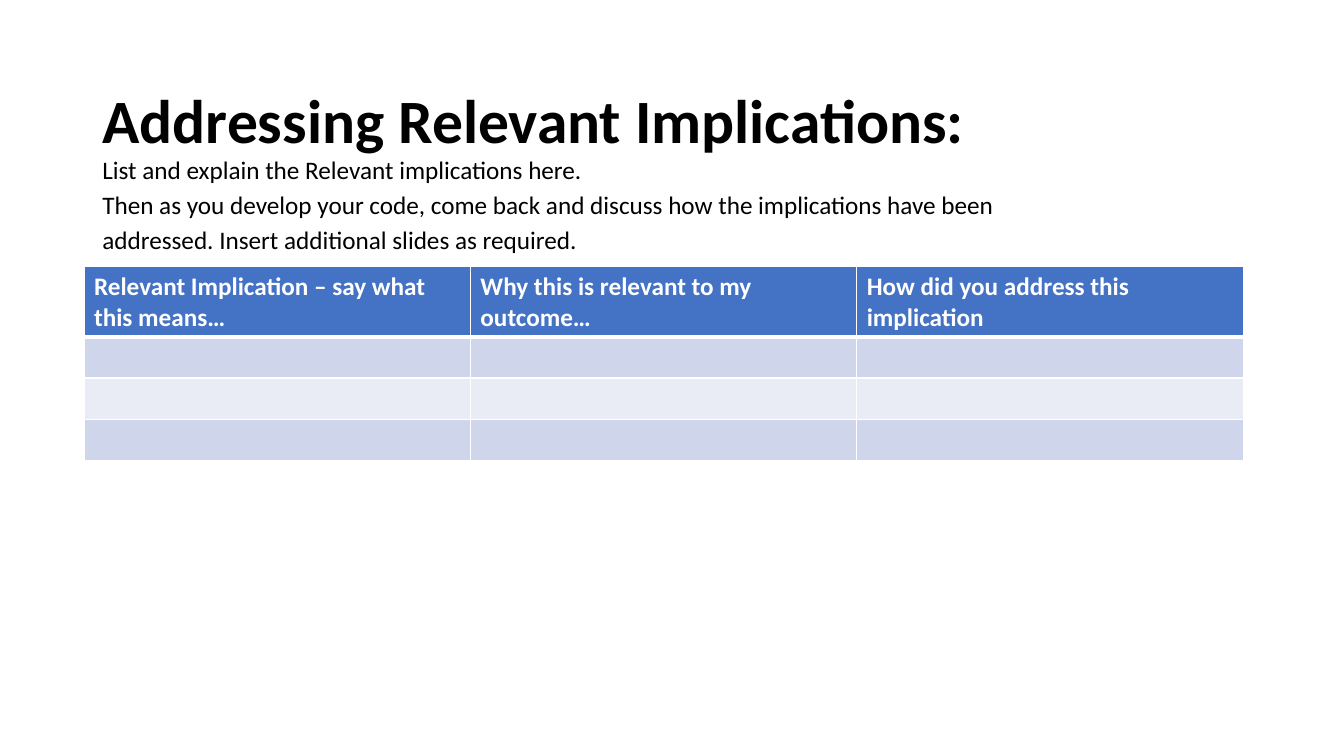
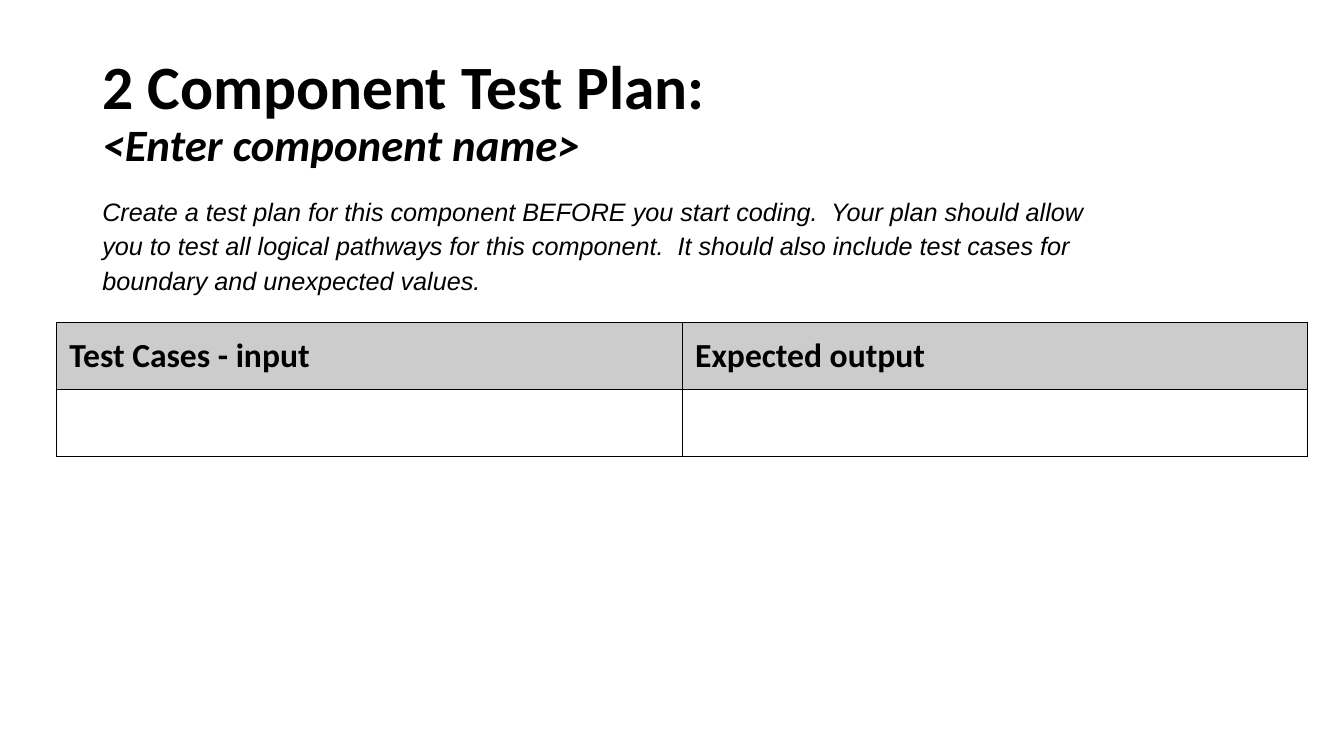
from dataclasses import dataclass

import lxml.etree
import pptx
import pptx.dml.color
import pptx.enum.text
import pptx.oxml.ns
import pptx.util

GRID_COLS, GRID_ROWS = 160, 90
UNIT = pptx.util.Inches(1) // 12
BLACK, WHITE = "000000", "FFFFFF"
BLUE, BAND_DARK, BAND_LIGHT, GREY = "4472C4", "CFD5EA", "E9EBF5", "CCCCCC"
TITLE = {"name": "Calibri", "size": pptx.util.Pt(44), "bold": True}
SUBTITLE = TITLE | {"size": pptx.util.Pt(32), "italic": True}
INTRO = {"name": "Calibri", "size": pptx.util.Pt(18)}
TITLE_ONLY = 5


@dataclass(frozen=True)
class Box:
    """An area in grid columns and rows."""
    col: float
    row: float
    cols: float
    rows: float

    def emu(self) -> list[int]:
        return [round(n * UNIT) for n in (self.col, self.row, self.cols, self.rows)]


@dataclass(frozen=True)
class TableStyle:
    header_fill: str
    header_color: str
    header_size: int
    bands: tuple[str, ...]
    border: str
    line: float
    header_line: float
    inset: dict[str, float]


TITLE_BOX = Box(11, 4.8, 138, 17.4)
BANDED = TableStyle(BLUE, WHITE, 18, (BAND_DARK, BAND_LIGHT), WHITE, 1, 3, {})
RULED = TableStyle(GREY, BLACK, 24, (WHITE,), BLACK, 0.75, 0.75,
                   {f"margin_{side}": 0.13 for side in ("left", "top", "right", "bottom")})


def rgb(color: str) -> pptx.dml.color.RGBColor:
    return pptx.dml.color.RGBColor.from_string(color)


def add_run(p, text: str, font: dict, color: str = BLACK) -> None:
    r = p.add_run()
    r.text = text
    for name, value in font.items():
        setattr(r.font, name, value)
    r.font.color.rgb = rgb(color)


def place_layout_title(layout) -> None:
    sp = layout.placeholders[0]
    sp.left, sp.top, sp.width, sp.height = TITLE_BOX.emu()


def add_title(slide, text: str, spacing: float, subtitle: str = "") -> None:
    tf = slide.shapes.title.text_frame
    tf.auto_size = pptx.enum.text.MSO_AUTO_SIZE.NONE
    tf.vertical_anchor = pptx.enum.text.MSO_ANCHOR.MIDDLE
    p = tf.paragraphs[0]
    p.alignment = pptx.enum.text.PP_ALIGN.LEFT
    p.line_spacing = spacing
    add_run(p, text, TITLE)
    if subtitle:
        p.add_line_break()
        add_run(p, subtitle, SUBTITLE)


def add_intro(slide, box: Box, lines: list[str], font: dict) -> None:
    tf = slide.shapes.add_textbox(*box.emu()).text_frame
    tf.word_wrap = True
    for i, line in enumerate(lines):
        p = tf.add_paragraph() if i else tf.paragraphs[0]
        p.line_spacing = 1.15
        add_run(p, line, font)


def set_borders(cell, color: str, widths: dict[str, float]) -> None:
    """Draw the cell's edges; widths maps L, R, T and B to points."""
    props = cell._tc.get_or_add_tcPr()
    for i, (side, width) in enumerate(widths.items()):
        ln = lxml.etree.Element(pptx.oxml.ns.qn(f"a:ln{side}"), w=str(pptx.util.Pt(width)))
        fill = lxml.etree.SubElement(ln, pptx.oxml.ns.qn("a:solidFill"))
        lxml.etree.SubElement(fill, pptx.oxml.ns.qn("a:srgbClr"), val=color)
        props.insert(i, ln)


def add_table(slide, box: Box, headers: list[str], row_heights: list[float],
              style: TableStyle) -> None:
    table = slide.shapes.add_table(len(row_heights), len(headers), *box.emu()).table
    for row, height in zip(table.rows, row_heights):
        row.height = round(height * UNIT)
    header_font = {"name": "Calibri", "size": pptx.util.Pt(style.header_size), "bold": True}
    for i, row in enumerate(table.rows):
        for j, cell in enumerate(row.cells):
            for name, inches in style.inset.items():
                setattr(cell, name, pptx.util.Inches(inches))
            if i == 0:
                add_run(cell.text_frame.paragraphs[0], headers[j], header_font,
                        style.header_color)
            fill = style.bands[(i - 1) % len(style.bands)] if i else style.header_fill
            cell.fill.solid()
            cell.fill.fore_color.rgb = rgb(fill)
            set_borders(cell, style.border, {
                "L": style.line, "R": style.line,
                "T": style.header_line if i == 1 else style.line,
                "B": style.header_line if i == 0 else style.line})


def build_implications(slide) -> None:
    add_title(slide, "Addressing Relevant Implications:", 1.15)
    add_intro(slide, Box(11, 17.3, 118, 13.4), [
        "List and explain the Relevant implications here.",
        "Then as you develop your code, come back and discuss how the implications "
        "have been addressed. Insert additional slides as required."], INTRO)
    add_table(slide, Box(10, 31.7, 138, 23), [
        "Relevant Implication – say what this means…",
        "Why this is relevant to my outcome…",
        "How did you address this implication"], [8.3] + [4.9] * 3, BANDED)


def build_test_plan(slide) -> None:
    add_title(slide, "2 Component Test Plan: ", 0.9, "<Enter component name>")
    add_intro(slide, Box(11, 22.2, 124, 13.4), [
        "Create a test plan for this component BEFORE you start coding.  Your plan "
        "should allow you to test all logical pathways for this component.  It should "
        "also include test cases for boundary and unexpected values."],
        INTRO | {"name": "Arial", "italic": True})
    add_table(slide, Box(6.7, 38.4, 149, 16), ["Test Cases - input", "Expected output"],
              [8, 8], RULED)


def main() -> None:
    prs = pptx.Presentation()
    prs.slide_width, prs.slide_height = GRID_COLS * UNIT, GRID_ROWS * UNIT
    layout = prs.slide_layouts[TITLE_ONLY]
    place_layout_title(layout)
    for build in (build_implications, build_test_plan):
        build(prs.slides.add_slide(layout))
    prs.save("out.pptx")


if __name__ == "__main__":
    main()
